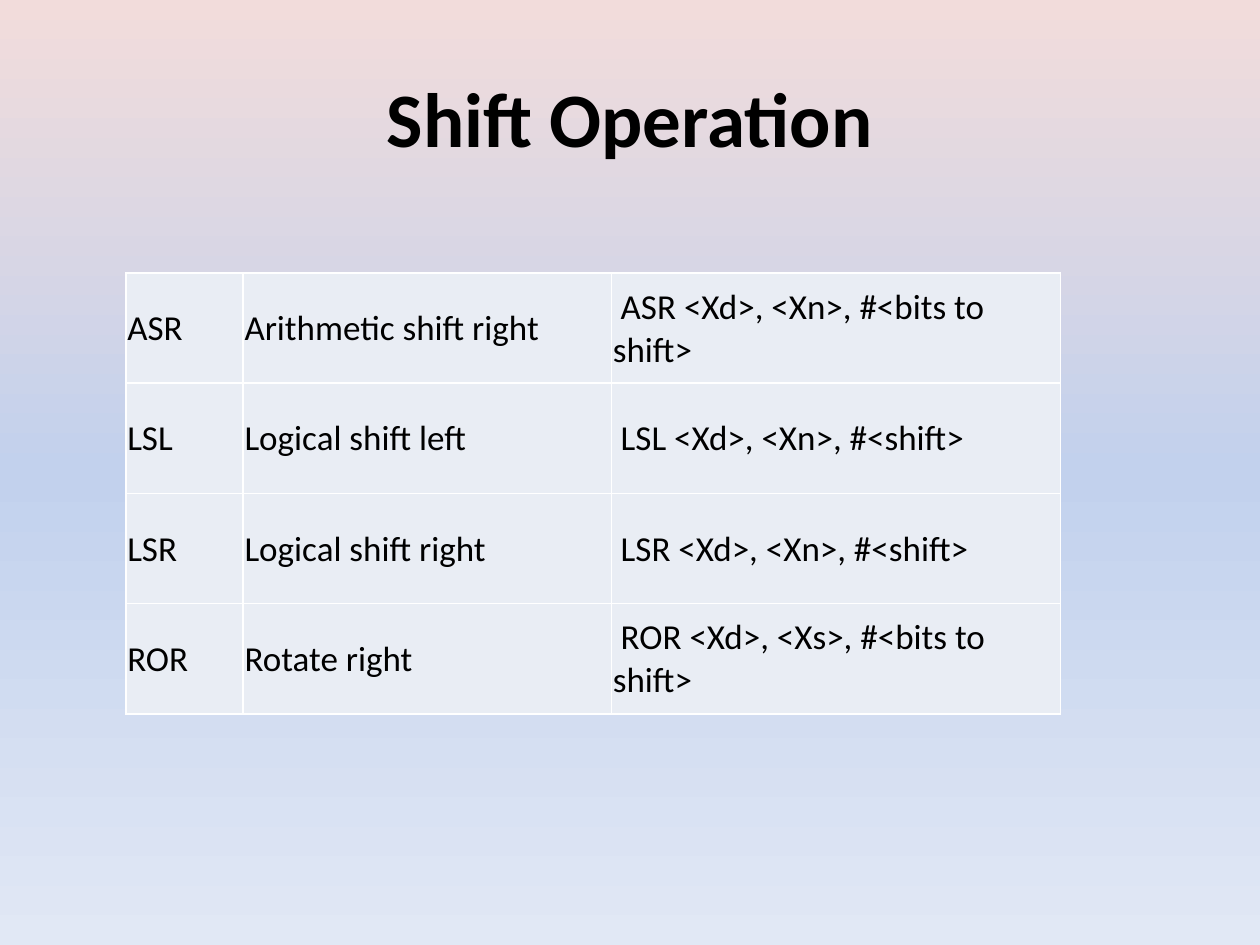
from copy import deepcopy

from pptx import Presentation
from pptx.dml.color import RGBColor
from pptx.enum.text import MSO_ANCHOR, PP_ALIGN
from pptx.oxml import parse_xml
from pptx.oxml.ns import nsdecls
from pptx.util import Pt

MIDDLE = MSO_ANCHOR.MIDDLE
CENTER = PP_ALIGN.CENTER

FONT = "Calibri"
BLACK, WHITE, CELL_FILL = "000000", "FFFFFF", "E9EDF4"
BACKDROP = [(0, "F2DCDB"), (0.5, "C2D1ED"), (1, "E1E8F5")]

HEADING = "Shift Operation"
OPERATIONS = [
    ("ASR", "Arithmetic shift right", "\u00a0ASR <Xd>, <Xn>, #<bits to shift>"),
    ("LSL", "Logical shift left", "\u00a0LSL <Xd>, <Xn>, #<shift>"),
    ("LSR", "Logical shift right", "\u00a0LSR <Xd>, <Xn>, #<shift>"),
    ("ROR", "Rotate right", "\u00a0ROR <Xd>, <Xs>, #<bits to shift>"),
]
COLUMN_WIDTHS = [67, 210.5, 256.5]
ROW_HEIGHT = 63
TABLE_LEFT, TABLE_TOP = 72, 156


def color(value):
    return RGBColor.from_string(value)


def add_run(paragraph, text, size, bold=False):
    run = paragraph.add_run()
    run.text = text
    run.font.name = FONT
    run.font.size = Pt(size)
    run.font.bold = bold
    run.font.color.rgb = color(BLACK)


def add_borders(cell):
    properties = cell._tc.get_or_add_tcPr()
    for position, side in enumerate(("lnL", "lnR", "lnT", "lnB")):
        properties.insert(position, parse_xml(
            f'<a:{side} {nsdecls("a")} w="{Pt(1)}"><a:solidFill>'
            f'<a:srgbClr val="{WHITE}"/></a:solidFill></a:{side}>'))


def paint_background(slide):
    fill = slide.background.fill
    fill.gradient()
    fill.gradient_angle = 270
    stop_list = slide.element.xpath(".//a:gsLst")[0]
    stop_list.append(deepcopy(stop_list[-1]))
    for stop, (position, value) in zip(fill.gradient_stops, BACKDROP):
        stop.position = position
        stop.color.rgb = color(value)


deck = Presentation()
deck.slide_width, deck.slide_height = Pt(720), Pt(540)
slide = deck.slides.add_slide(deck.slide_layouts[5])
paint_background(slide)

title = slide.shapes.title
title.left, title.top, title.width, title.height = Pt(36), Pt(21.6), Pt(648), Pt(90)
title.text_frame.vertical_anchor = MIDDLE
title_line = title.text_frame.paragraphs[0]
title_line.alignment = CENTER
add_run(title_line, HEADING, 44, True)

operations = slide.shapes.add_table(
    len(OPERATIONS), len(COLUMN_WIDTHS), Pt(TABLE_LEFT), Pt(TABLE_TOP),
    Pt(sum(COLUMN_WIDTHS)), Pt(ROW_HEIGHT * len(OPERATIONS))).table
operations.first_row = operations.horz_banding = False
for column, width in zip(operations.columns, COLUMN_WIDTHS):
    column.width = Pt(width)

for row, texts in zip(operations.rows, OPERATIONS):
    row.height = Pt(ROW_HEIGHT)
    for cell, text in zip(row.cells, texts):
        cell.margin_left = cell.margin_right = cell.margin_top = Pt(0.75)
        cell.margin_bottom = Pt(0)
        cell.vertical_anchor = MIDDLE
        cell.fill.solid()
        cell.fill.fore_color.rgb = color(CELL_FILL)
        add_borders(cell)
        add_run(cell.text_frame.paragraphs[0], text, 20)

deck.save("out.pptx")
